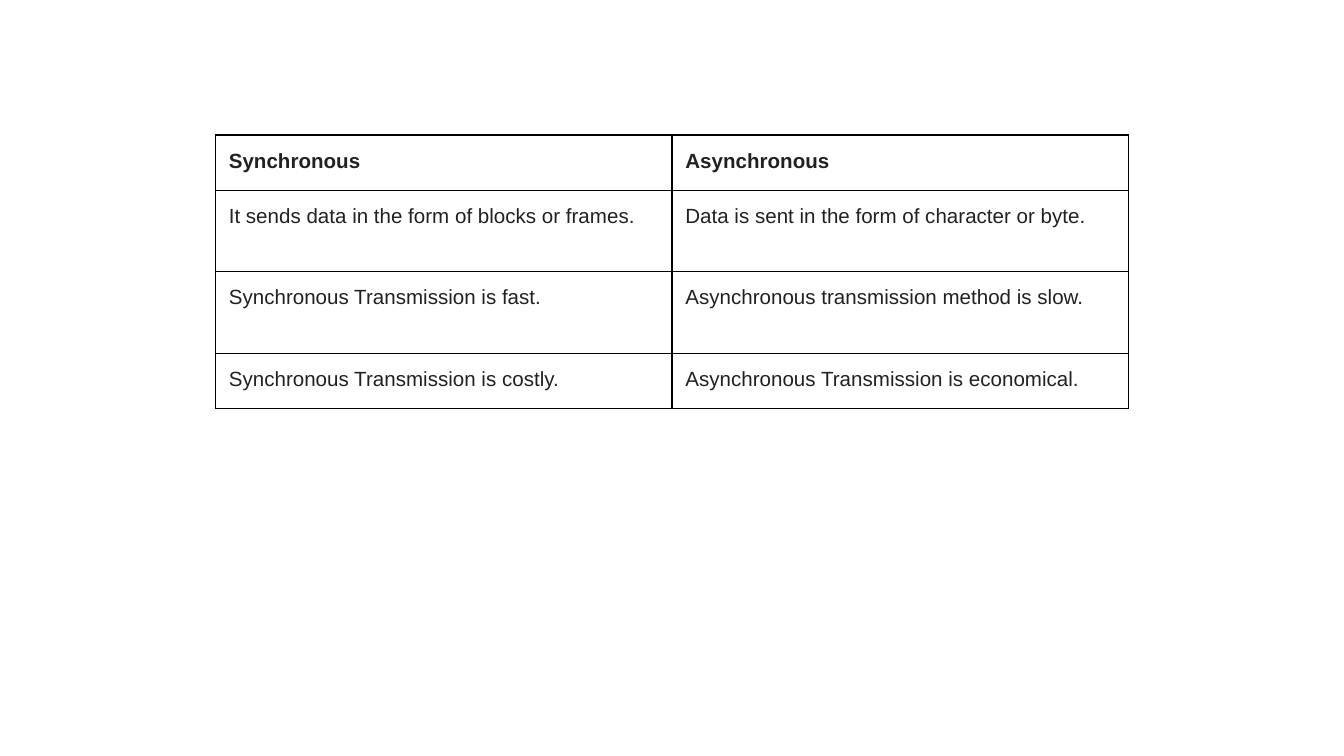
from lxml.etree import SubElement
from pptx import Presentation
from pptx.dml.color import RGBColor
from pptx.oxml.ns import qn
from pptx.util import Pt

ROWS = [
    ("Synchronous", "Asynchronous"),
    ("It sends data in the form of blocks or frames.",
     "Data is sent in the form of character or byte."),
    ("Synchronous Transmission is fast.",
     "Asynchronous transmission method is slow."),
    ("Synchronous Transmission is costly.",
     "Asynchronous Transmission is economical."),
]

THEME = {
    "font": "Arial",
    "size": Pt(11),
    "text": RGBColor.from_string("202124"),
    "border": "000000",
    "border_width": Pt(0.75),
    "line_spacing": 1.15,
}

SLIDE_WIDTH, SLIDE_HEIGHT = Pt(720), Pt(405)
TABLE_LEFT, TABLE_TOP = Pt(115.4), Pt(72.3)
COLUMN_WIDTH = Pt(244.6)
SHORT_ROW, TALL_ROW = Pt(29.6), Pt(43.7)
ROW_HEIGHTS = [SHORT_ROW, TALL_ROW, TALL_ROW, SHORT_ROW]
INSET_X, INSET_Y = Pt(7.2), Pt(6)


def add_borders(cell):
    properties = cell._tc.get_or_add_tcPr()
    for side in ("lnL", "lnR", "lnT", "lnB"):
        line = SubElement(properties, qn(f"a:{side}"), w=str(THEME["border_width"]))
        fill = SubElement(line, qn("a:solidFill"))
        SubElement(fill, qn("a:srgbClr"), val=THEME["border"])


def write_cell(cell, text, bold):
    cell.margin_left = cell.margin_right = INSET_X
    cell.margin_top = cell.margin_bottom = INSET_Y
    add_borders(cell)
    cell.fill.background()
    paragraph = cell.text_frame.paragraphs[0]
    paragraph.line_spacing = THEME["line_spacing"]
    run = paragraph.add_run()
    run.text = text
    run.font.name = THEME["font"]
    run.font.size = THEME["size"]
    run.font.bold = bold
    run.font.color.rgb = THEME["text"]


def main():
    presentation = Presentation()
    presentation.slide_width, presentation.slide_height = SLIDE_WIDTH, SLIDE_HEIGHT
    slide = presentation.slides.add_slide(presentation.slide_layouts[6])

    # Comparison table
    column_count = len(ROWS[0])
    table = slide.shapes.add_table(
        len(ROWS), column_count, TABLE_LEFT, TABLE_TOP,
        COLUMN_WIDTH * column_count, sum(ROW_HEIGHTS)).table
    table.first_row = table.horz_banding = False
    for column in table.columns:
        column.width = COLUMN_WIDTH

    # Rows, with a bold header
    for row_index, (texts, height) in enumerate(zip(ROWS, ROW_HEIGHTS)):
        table.rows[row_index].height = height
        for column_index, text in enumerate(texts):
            write_cell(table.cell(row_index, column_index), text, row_index == 0)

    presentation.save("out.pptx")


if __name__ == "__main__":
    main()
